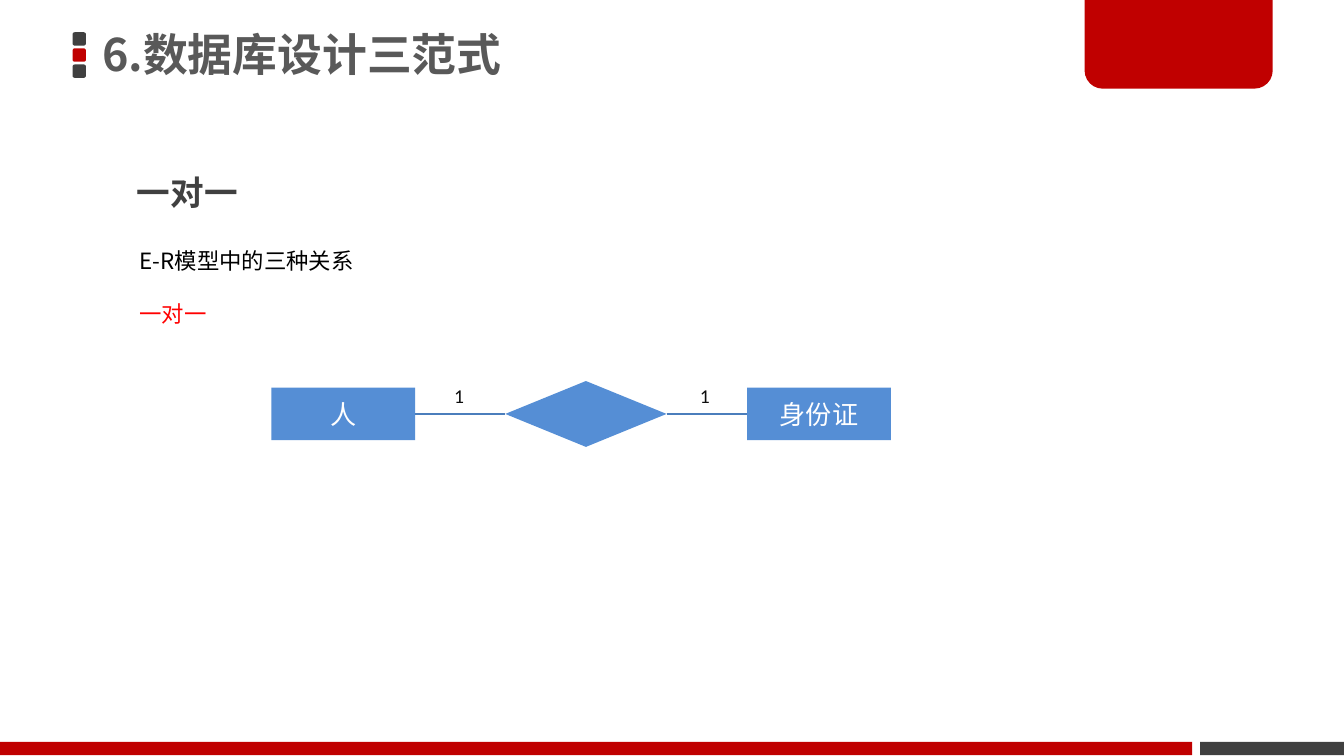
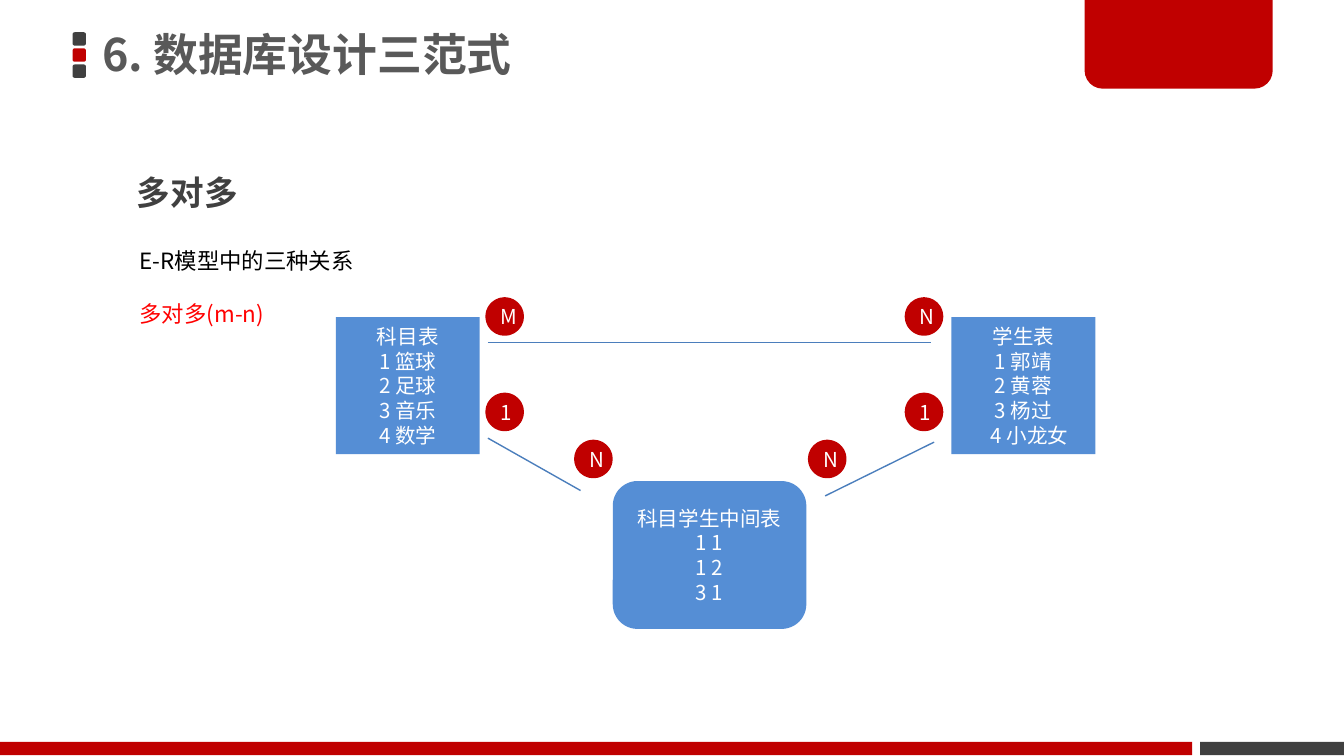
"""Build two slides on one-to-one and many-to-many table relations."""
import pptx
import pptx.dml.color
import pptx.enum.shapes
import pptx.enum.text
import pptx.oxml.ns
import pptx.util
from lxml import etree

Inches = pptx.util.Inches
Pt = pptx.util.Pt
RGBColor = pptx.dml.color.RGBColor
SHAPE = pptx.enum.shapes.MSO_SHAPE
ALIGN = pptx.enum.text.PP_ALIGN
ANCHOR = pptx.enum.text.MSO_ANCHOR
qn = pptx.oxml.ns.qn

RED = RGBColor(0xC0, 0x00, 0x00)
DARK = RGBColor(0x40, 0x40, 0x40)
TITLE_GRAY = RGBColor(0x59, 0x59, 0x59)
BLUE = RGBColor(0x55, 0x8E, 0xD5)
LINE_BLUE = RGBColor(0x4B, 0x7E, 0xBC)
HIGHLIGHT = RGBColor(0xFF, 0x00, 0x00)
LABEL = RGBColor(0x0D, 0x0D, 0x0D)
BLACK = RGBColor(0x00, 0x00, 0x00)
WHITE = RGBColor(0xFF, 0xFF, 0xFF)
CJK = "Noto Sans CJK SC"
LATIN = "Calibri"

INTRO = "E-R模型中的三种关系"
ONE_TO_ONE = {"title": "6.数据库设计三范式", "heading": "一对一", "relation": "一对一"}
MANY_TO_MANY = {"title": "6. 数据库设计三范式", "heading": "多对多", "relation": "多对多(m-n)"}

ENTITIES = [("人", 2.02), ("身份证", 5.56)]
ENTITY_WIDTH, ENTITY_HEIGHT = 1.07, 0.39
ER_MIDDLE = 3.08
DIAMOND_LEFT, DIAMOND_WIDTH, DIAMOND_HEIGHT = 3.76, 1.2, 0.49
CARDINALITIES = [("1", 3.28), ("1", 5.11)]

TABLES = [
    (SHAPE.RECTANGLE, (2.5, 2.36, 1.07, 1.02),
     ["科目表", "1 篮球", "2 足球", "3 音乐", "4 数学"]),
    (SHAPE.RECTANGLE, (7.08, 2.36, 1.07, 1.02),
     ["学生表", "1 郭靖", "2 黄蓉", "3 杨过", "4 小龙女"]),
    (SHAPE.ROUNDED_RECTANGLE, (4.56, 3.58, 1.44, 1.1),
     ["科目学生中间表", "1 1", "1 2", "3 1"]),
]
LAST_STUDENT_INDENT = 0.09
BADGE_SIZE = 0.19
BADGES = [("M", 3.66, 2.26), ("1", 3.66, 2.97), ("N", 4.32, 3.32),
          ("N", 6.06, 3.32), ("1", 6.78, 2.97), ("N", 6.78, 2.26)]
LINKS = [((3.63, 2.55), (6.93, 2.55)), ((3.63, 3.26), (4.32, 3.65)),
         ((6.95, 3.29), (6.14, 3.69))]


def write(shape, lines, size, color, font=CJK, bold=False, align=ALIGN.LEFT,
          anchor=ANCHOR.TOP, spacing=None, wrap=True):
    """Fill a shape with one paragraph per line and return the paragraphs."""
    frame = shape.text_frame
    frame.word_wrap = wrap
    frame.vertical_anchor = anchor
    for index, line in enumerate(lines):
        para = frame.add_paragraph() if index else frame.paragraphs[0]
        para.alignment = align
        if spacing:
            para.line_spacing = spacing
        span = para.add_run()
        span.text = line
        span.font.size = Pt(size)
        span.font.bold = bold
        span.font.color.rgb = color
        span.font.name = font
        east_asian = etree.SubElement(span.font._element, qn("a:ea"))
        east_asian.set("typeface", CJK)
    return frame.paragraphs


def add_box(slide, kind, place, color, outline=None):
    """Add a flat preset shape."""
    shape = slide.shapes.add_shape(kind, *map(Inches, place))
    shape.shadow.inherit = False
    shape.fill.solid()
    shape.fill.fore_color.rgb = color
    if outline:
        shape.line.color.rgb = color
        shape.line.width = Pt(outline)
    else:
        shape.line.fill.background()
    return shape


def add_text(slide, place, lines, **style):
    """Add a text box and return it with its paragraphs."""
    box = slide.shapes.add_textbox(*map(Inches, place))
    return box, write(box, lines, **style)


def add_line(slide, start, end):
    """Add a thin straight connector."""
    line = slide.shapes.add_connector(
        pptx.enum.shapes.MSO_CONNECTOR.STRAIGHT, *map(Inches, start + end))
    line.line.color.rgb = LINE_BLUE
    line.line.width = Pt(0.75)
    etree.SubElement(line._element.spPr, qn("a:effectLst"))


def add_frame(deck, content):
    """Add a slide with the shared bands, title, heading and introduction."""
    slide = deck.slides.add_slide(deck.slide_layouts[6])
    for row, color in enumerate([DARK, RED, DARK]):
        add_box(slide, SHAPE.ROUNDED_RECTANGLE, (0.54, 0.24 + 0.12 * row, 0.1, 0.1), color)
    add_box(slide, SHAPE.RECTANGLE, (8.93, 5.52, 1.07, 0.1), DARK)
    tab = add_box(slide, SHAPE.ROUND_2_SAME_RECTANGLE, (8.07, -0.02, 1.4, 0.68), RED)
    tab.adjustments[0], tab.adjustments[1] = 0, 0.2
    add_box(slide, SHAPE.RECTANGLE, (0, 5.52, 8.87, 0.1), RED)
    title, _ = add_text(slide, (0.69, -0.02, 5.89, 0.89), [content["title"]], size=24,
                        color=TITLE_GRAY, bold=True, anchor=ANCHOR.MIDDLE, spacing=0.9)
    frame = title.text_frame
    frame.margin_left = frame.margin_right = Inches(0.07)
    frame.margin_top = frame.margin_bottom = Inches(0.04)
    add_text(slide, (0.92, 1.08, 3.84, 0.5), [content["heading"]], size=18,
             color=DARK, bold=True, spacing=1.5)
    _, paras = add_text(slide, (0.94, 1.79, 1.8, 0.71), [INTRO, content["relation"]],
                        size=12, color=BLACK)
    paras[1].space_before = Pt(14)
    paras[1].runs[0].font.color.rgb = HIGHLIGHT
    return slide


def add_one_to_one(deck):
    """Add the person and identity card diagram."""
    slide = add_frame(deck, ONE_TO_ONE)
    for name, left in ENTITIES:
        entity = add_box(slide, SHAPE.RECTANGLE,
                         (left, ER_MIDDLE - ENTITY_HEIGHT / 2, ENTITY_WIDTH, ENTITY_HEIGHT), BLUE)
        write(entity, [name], 14, WHITE, font=LATIN, align=ALIGN.CENTER, anchor=ANCHOR.MIDDLE)
    add_box(slide, SHAPE.DIAMOND, (DIAMOND_LEFT, ER_MIDDLE - DIAMOND_HEIGHT / 2,
                                   DIAMOND_WIDTH, DIAMOND_HEIGHT), BLUE)
    (_, first), (_, second) = ENTITIES
    add_line(slide, (first + ENTITY_WIDTH, ER_MIDDLE), (DIAMOND_LEFT, ER_MIDDLE))
    add_line(slide, (DIAMOND_LEFT + DIAMOND_WIDTH, ER_MIDDLE), (second, ER_MIDDLE))
    for mark, left in CARDINALITIES:
        add_text(slide, (left, 2.81, 0.28, 0.28), [mark], size=10.5, color=LABEL,
                 font=LATIN, wrap=False)


def add_many_to_many(deck):
    """Add the subject, student and joining table diagram."""
    slide = add_frame(deck, MANY_TO_MANY)
    centred = {"align": ALIGN.CENTER, "anchor": ANCHOR.MIDDLE}
    for kind, place, rows in TABLES:
        paras = write(add_box(slide, kind, place, BLUE), rows, 11, WHITE, **centred)
        if rows[0] == "学生表":
            paras[-1]._p.get_or_add_pPr().set("marL", str(Inches(LAST_STUDENT_INDENT)))
    for mark, left, top in BADGES:
        badge = add_box(slide, SHAPE.FLOWCHART_CONNECTOR,
                        (left, top, BADGE_SIZE, BADGE_SIZE), RED, outline=7)
        write(badge, [mark], 11, WHITE, **centred)
    for start, end in LINKS:
        add_line(slide, start, end)


def main():
    """Build and save the deck."""
    deck = pptx.Presentation()
    deck.slide_width = Inches(10)
    deck.slide_height = Inches(10 * 9 / 16)
    add_one_to_one(deck)
    add_many_to_many(deck)
    deck.save("out.pptx")


if __name__ == "__main__":
    main()
